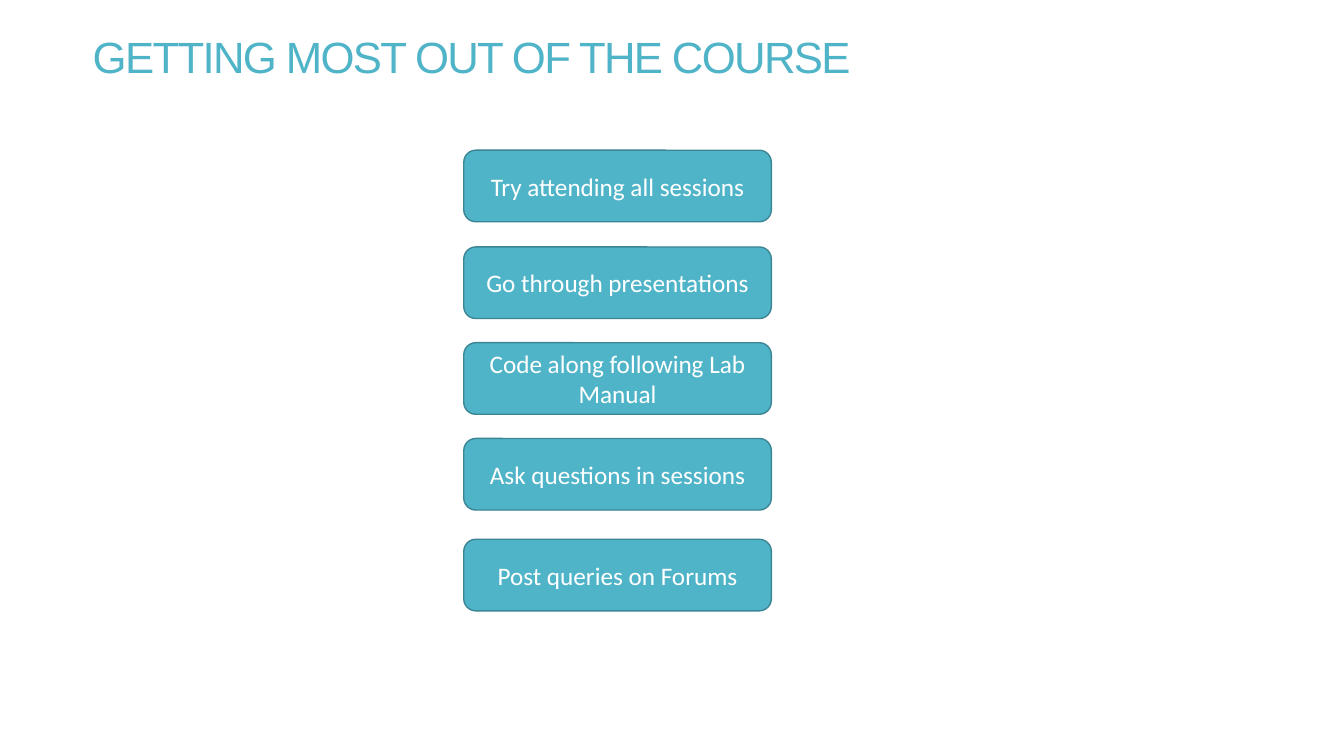
"""Build the slide on getting the most out of the course."""
from pptx import Presentation
from pptx.dml.color import RGBColor
from pptx.enum.shapes import MSO_SHAPE
from pptx.enum.text import MSO_ANCHOR, PP_ALIGN
from pptx.util import Inches, Pt

ROUNDED = MSO_SHAPE.ROUNDED_RECTANGLE
MIDDLE = MSO_ANCHOR.MIDDLE
CENTER = PP_ALIGN.CENTER
COLORS = {"teal": "50B4C8", "outline": "3B8594", "white": "FFFFFF"}
TIPS = [
    ("Try attending all sessions", 1.49),
    ("Go through presentations", 2.45),
    ("Code along following Lab Manual", 3.4),
    ("Ask questions in sessions", 4.35),
    ("Post queries on Forums", 5.35),
]


def color(name):
    return RGBColor.from_string(COLORS[name])


def format_run(paragraph, font_name, size, color_name):
    font = paragraph.runs[0].font
    font.name = font_name
    font.size = Pt(size)
    font.color.rgb = color(color_name)


presentation = Presentation()
presentation.slide_width = Inches(13.33)
presentation.slide_height = Inches(7.5)
slide = presentation.slides.add_slide(presentation.slide_layouts[6])

title = slide.shapes.add_textbox(Inches(0.92), Inches(0.4), Inches(11.5), Inches(0.71))
frame = title.text_frame
frame.word_wrap = True
frame.margin_left = frame.margin_top = frame.margin_right = frame.margin_bottom = 0
frame.text = "GETTING MOST OUT OF THE COURSE"
paragraph = frame.paragraphs[0]
paragraph.line_spacing = 0.8
format_run(paragraph, "Arial", 31.2, "teal")
paragraph.runs[0].font._element.set("spc", "-120")

for tip, top in TIPS:
    shape = slide.shapes.add_shape(ROUNDED, Inches(4.6), Inches(top), Inches(3.05), Inches(0.71))
    shape.shadow.inherit = False
    shape.fill.solid()
    shape.fill.fore_color.rgb = color("teal")
    shape.line.color.rgb = color("outline")
    shape.line.width = Pt(1)
    frame = shape.text_frame
    frame.word_wrap = True
    frame.vertical_anchor = MIDDLE
    frame.text = tip
    paragraph = frame.paragraphs[0]
    paragraph.alignment = CENTER
    format_run(paragraph, "Calibri", 18, "white")

presentation.save("out.pptx")
